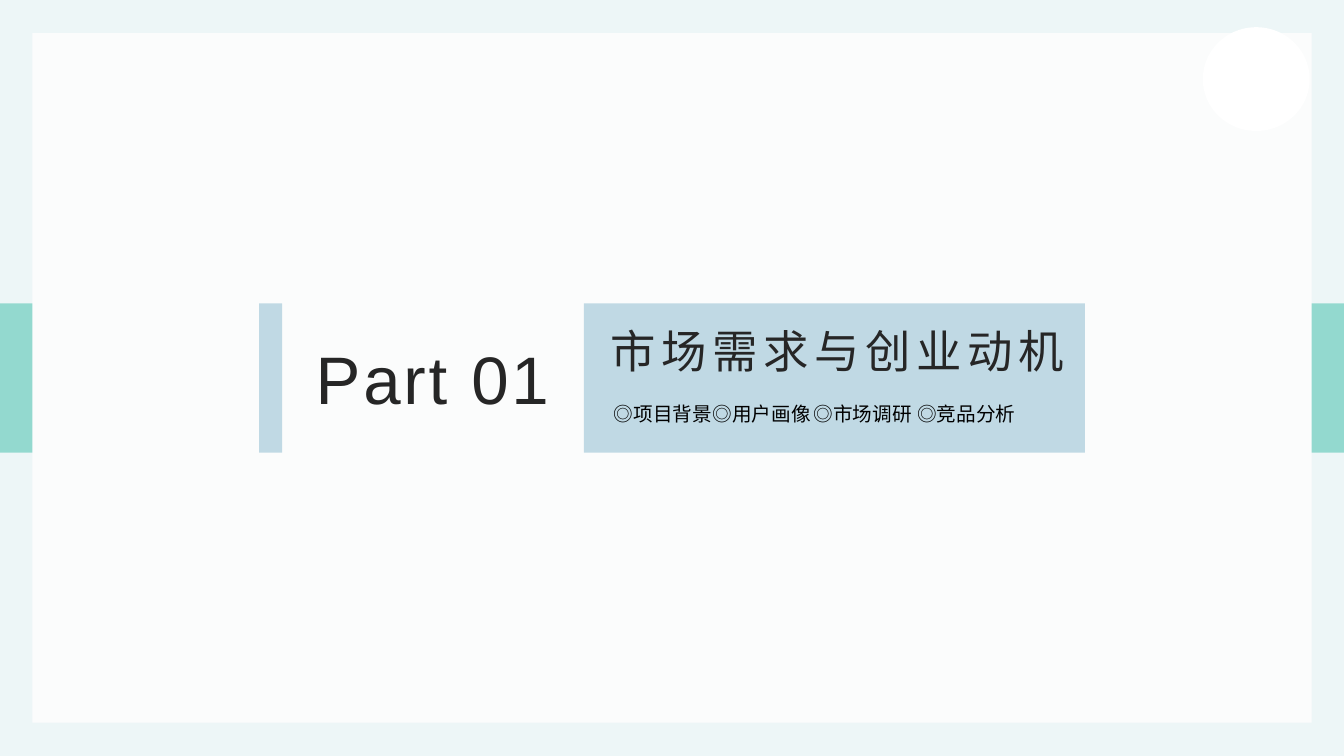
from pptx import Presentation
from pptx.dml.color import RGBColor
from pptx.enum.shapes import MSO_SHAPE as Shape
from pptx.enum.text import MSO_ANCHOR as Anchor, MSO_AUTO_SIZE as Fit, PP_ALIGN as Align
from pptx.oxml.ns import qn
from pptx.util import Inches, Pt
from lxml.etree import SubElement as Sub

WIDE, HIGH = 13.33, 7.5
PALE = RGBColor(0xED, 0xF6, 0xF7)
PANEL = RGBColor(0xFB, 0xFC, 0xFC)
MINT = RGBColor(0x7D, 0xD2, 0xC6)
BLUE = RGBColor(0x39, 0x89, 0xAD)
WHITE = RGBColor(0xFF, 0xFF, 0xFF)
DARK = RGBColor(0x26, 0x26, 0x26)
BLACK = RGBColor(0, 0, 0)
LATIN, HAN = "Arial", "Noto Sans CJK SC"

# Height band shared by the wings, the bar and the title block
TOP, BAND = 3.01, 1.48
# Wing edge on the right, as shares of its box: start, then cubic curves
EDGE = [(0.87, 0), (0.56, 0.08), (0.46, 0.16), (0.31, 0.5),
        (0.16, 0.84), (0, 1), (0, 1)]


def paint(shape, color, alpha=100):
    shape.shadow.inherit = False
    shape.fill.solid()
    shape.fill.fore_color.rgb = color
    shape.line.fill.background()
    if alpha < 100:
        tint = shape.fill._xPr.find(qn("a:solidFill"))[0]
        Sub(tint, qn("a:alpha")).set("val", str(alpha * 1000))


def block(slide, box, color, alpha=100, kind=Shape.RECTANGLE):
    shape = slide.shapes.add_shape(kind, *map(Inches, box))
    paint(shape, color, alpha)


def label(slide, box, text, size, font, color, space=0,
          align=Align.LEFT, anchor=Anchor.TOP, wrap=True):
    shape = slide.shapes.add_textbox(*map(Inches, box))
    frame = shape.text_frame
    frame.word_wrap = wrap
    frame.auto_size = Fit.NONE if wrap else Fit.SHAPE_TO_FIT_TEXT
    frame.vertical_anchor = anchor
    para = frame.paragraphs[0]
    para.alignment = align
    run = para.add_run()
    run.text = text
    run.font.size = Pt(size)
    run.font.name = font
    run.font.color.rgb = color
    props = run.font._element
    Sub(props, qn("a:ea")).set("typeface", HAN)
    if space:
        props.set("spc", str(space * 100))


def curve(a, b, c, d, steps=12):
    for i in range(1, steps + 1):
        t = i / steps
        u = 1 - t
        yield tuple(u**3 * p + 3 * u * u * t * q + 3 * u * t * t * r + t**3 * s
                    for p, q, r, s in zip(a, b, c, d))


def wing(slide, box, turned):
    """Mint wing; turned gives the half-turn of the right one."""
    x, y, w, h = box
    dots = [(1, 0), EDGE[0], *curve(*EDGE[:4]), *curve(*EDGE[3:]), (1, 1)]
    if turned:
        dots = [(1 - p, 1 - q) for p, q in dots]
    dots = [(Inches(x + p * w), Inches(y + q * h)) for p, q in dots]
    form = slide.shapes.build_freeform(*dots[0])
    form.add_line_segments(dots[1:], close=True)
    paint(form.convert_to_shape(), MINT, 80)


def frame(slide, box):
    """Pale page with side wings and a panel."""
    x, y, w, h = box
    fill = slide.background.fill
    fill.solid()
    fill.fore_color.rgb = PALE
    span = 3.04
    wing(slide, (x + w - span, TOP, span, BAND), False)
    wing(slide, (x, TOP, span, BAND), True)
    block(slide, (x + 0.32, y + 0.33, w - 0.64, h - 0.66), PANEL)


def part(slide, box, text):
    """Part number with the bar on its left."""
    x, y, w, h = box
    label(slide, (x + 0.32, y, w - 0.32, h), text, 48, LATIN, DARK, 2,
          Align.CENTER, Anchor.MIDDLE)
    block(slide, (x, y, 0.23, h), BLUE, 30)


def title(slide, box, text, topics):
    """Tinted block with the title above a row of topics."""
    x, y, w, h = box
    block(slide, box, BLUE, 30)
    label(slide, (x + 0.17, y, w + 0.04, 0.79), text, 32.4, LATIN, DARK, 4,
          anchor=Anchor.BOTTOM)
    for left, topic in topics:
        label(slide, (x + left, y + 0.93, 1.22, 0.34), "◎" + topic, 14, HAN,
              BLACK, wrap=False)


def main():
    deck = Presentation()
    deck.slide_width, deck.slide_height = Inches(WIDE), Inches(HIGH)
    slide = deck.slides.add_slide(deck.slide_layouts[6])
    frame(slide, (0, 0, WIDE, HIGH))
    part(slide, (2.57, TOP, 3.12, BAND), "Part 01")
    title(slide, (5.79, TOP, 4.97, BAND), "市场需求与创业动机",
          [(0.2, "项目背景"), (1.18, "用户画像"),
           (2.18, "市场调研"), (3.21, "竞品分析")])
    # Corner disc
    block(slide, (11.93, 0.27, 1.06, 1.03), WHITE, kind=Shape.OVAL)
    deck.save("out.pptx")


if __name__ == "__main__":
    main()
